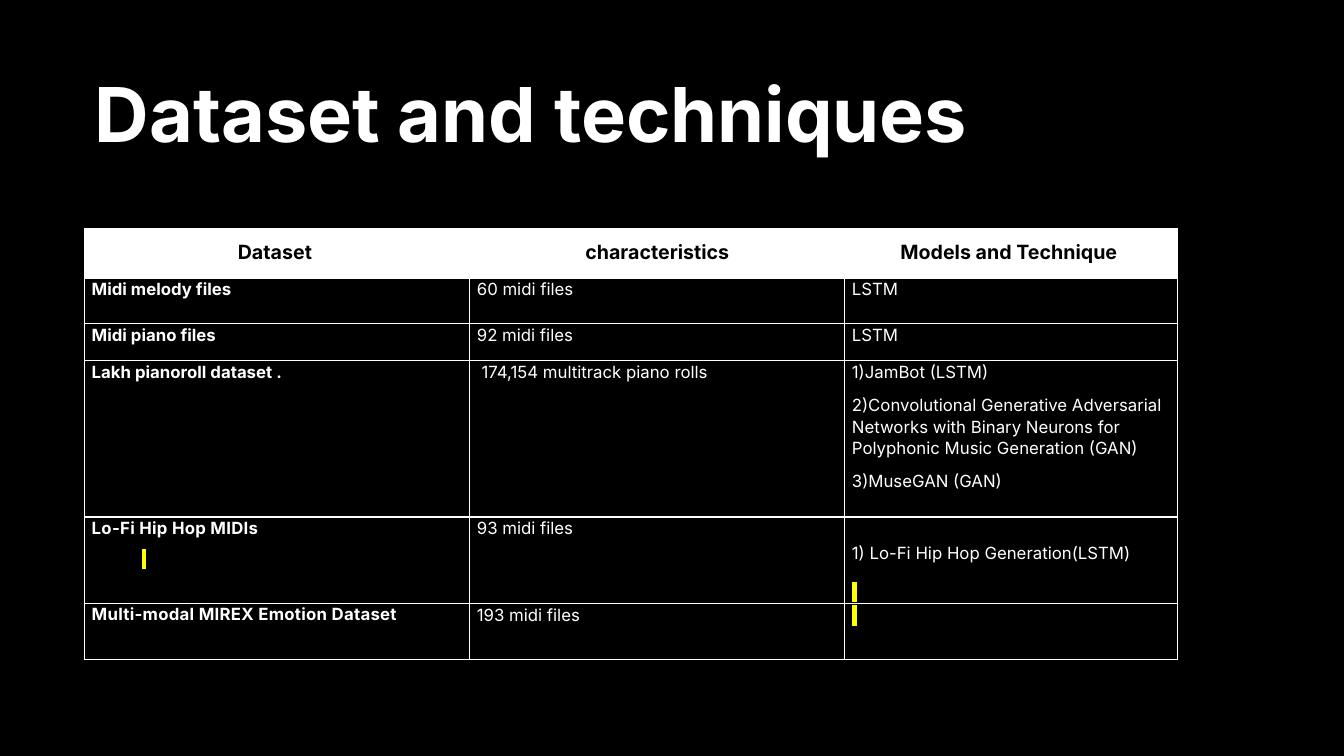
"""Build the slide listing music datasets and the techniques used on them."""
from dataclasses import dataclass

from lxml import etree
from pptx import Presentation
from pptx.dml.color import RGBColor
from pptx.enum.text import MSO_ANCHOR, MSO_AUTO_SIZE, PP_ALIGN
from pptx.oxml.ns import qn
from pptx.table import _Cell
from pptx.text.text import _Paragraph
from pptx.util import Emu, Length, Pt

LEFT = PP_ALIGN.LEFT
CENTER = PP_ALIGN.CENTER
MIDDLE = MSO_ANCHOR.MIDDLE
NO_AUTOFIT = MSO_AUTO_SIZE.NONE
TITLE_ONLY = 5
EMU_PER_PX = 9144
NBSP = " "


@dataclass(frozen=True)
class Theme:
    font: str = "Inter"
    background: str = "000000"
    ink: str = "FFFFFF"
    header_ink: str = "000000"
    marker: str = "FFFF00"
    title_pt: int = 54
    header_pt: int = 14
    body_pt: int = 12
    border_pt: int = 1


@dataclass(frozen=True)
class Line:
    text: str
    bold: bool = False
    spacing: float | Length = 1.07
    after: int = 8
    tracking: int = 0
    indent: int = 0
    marked: bool = False


THEME = Theme()
COLUMN_WIDTHS = (382, 372, 330)
ROW_HEIGHTS = (49, 45, 37, 155, 86, 55)
HEADINGS = ("Dataset ", "characteristics", "Models and Technique ")
MARKER = Line(NBSP, marked=True)
DATASETS = (
    ([Line("Midi melody files", bold=True)], [Line("60 midi files")], [Line("LSTM")]),
    ([Line("Midi piano files", bold=True)], [Line("92 midi files")], [Line("LSTM")]),
    (
        [Line("Lakh pianoroll dataset .", bold=True)],
        [Line(" 174,154 multitrack piano rolls ")],
        [
            Line("1)JamBot (LSTM)"),
            Line("2)Convolutional Generative Adversarial Networks with Binary "
                 "Neurons for Polyphonic Music Generation (GAN)"),
            Line("3)MuseGAN (GAN)"),
        ],
    ),
    (
        [
            Line("Lo-Fi Hip Hop MIDIs", bold=True, after=6, tracking=20),
            Line(NBSP, bold=True, indent=50, marked=True),
        ],
        [Line("93 midi files")],
        [Line("1) Lo-Fi Hip Hop Generation(LSTM)", spacing=Pt(33), after=12), MARKER],
    ),
    (
        [Line("Multi-modal MIREX Emotion Dataset", bold=True, spacing=1.0, after=6,
              tracking=20)],
        [Line("193 midi files")],
        [MARKER],
    ),
)


def px(length: int) -> Emu:
    """Convert slide pixels to EMU."""
    return Emu(length * EMU_PER_PX)


def set_font(paragraph: _Paragraph, size: int, color: str, bold: bool) -> None:
    """Give a whole paragraph its typeface, size, colour and weight."""
    paragraph.font.name = THEME.font
    paragraph.font.size = Pt(size)
    paragraph.font.bold = bold
    paragraph.font.color.rgb = RGBColor.from_string(color)


def write_line(paragraph: _Paragraph, line: Line, size: int, color: str) -> None:
    """Write one line of a cell with its spacing and marking."""
    run = paragraph.add_run()
    run.text = line.text
    set_font(paragraph, size, color, line.bold)
    paragraph.line_spacing = line.spacing
    paragraph.space_after = Pt(line.after)
    if line.indent:
        paragraph._p.get_or_add_pPr().set("indent", str(px(line.indent)))
    properties = run._r.get_or_add_rPr()
    if line.tracking:
        properties.set("spc", str(line.tracking))
    if line.marked:
        highlight = etree.SubElement(properties, qn("a:highlight"))
        etree.SubElement(highlight, qn("a:srgbClr"), val=THEME.marker)


def add_borders(cell: _Cell) -> None:
    """Draw a thin line on all four sides of a cell."""
    properties = cell._tc.get_or_add_tcPr()
    for side in ("a:lnL", "a:lnR", "a:lnT", "a:lnB"):
        border = etree.SubElement(properties, qn(side), w=str(Pt(THEME.border_pt)))
        fill = etree.SubElement(border, qn("a:solidFill"))
        etree.SubElement(fill, qn("a:srgbClr"), val=THEME.ink)


def fill_cell(cell: _Cell, lines: list[Line], is_header: bool) -> None:
    """Format one table cell and write its lines."""
    add_borders(cell)
    cell.fill.solid()
    cell.fill.fore_color.rgb = RGBColor.from_string(
        THEME.ink if is_header else THEME.background)
    cell.margin_left = cell.margin_right = px(7)
    cell.margin_top = cell.margin_bottom = px(0)
    size = THEME.header_pt if is_header else THEME.body_pt
    color = THEME.header_ink if is_header else THEME.ink
    for index, line in enumerate(lines):
        frame = cell.text_frame
        paragraph = frame.add_paragraph() if index else frame.paragraphs[0]
        write_line(paragraph, line, size, color)
        paragraph.alignment = CENTER if is_header else LEFT


def main() -> None:
    """Create the presentation and save it."""
    deck = Presentation()
    deck.slide_width, deck.slide_height = px(1333), px(750)
    slide = deck.slides.add_slide(deck.slide_layouts[TITLE_ONLY])
    slide.background.fill.solid()
    slide.background.fill.fore_color.rgb = RGBColor.from_string(THEME.background)

    title = slide.shapes.title
    title.left, title.top, title.width, title.height = px(84), px(49), px(1042), px(136)
    title.text_frame.text = "Dataset and techniques"
    title.text_frame.auto_size = NO_AUTOFIT
    title.text_frame.vertical_anchor = MIDDLE
    heading = title.text_frame.paragraphs[0]
    heading.alignment = LEFT
    heading.line_spacing = 0.9
    set_font(heading, THEME.title_pt, THEME.ink, True)

    rows = [[[Line(text, bold=True, spacing=1.5)] for text in HEADINGS], *DATASETS]
    datasets = slide.shapes.add_table(
        len(ROW_HEIGHTS), len(COLUMN_WIDTHS), px(84), px(227),
        px(sum(COLUMN_WIDTHS)), px(sum(ROW_HEIGHTS))).table
    datasets.first_row = datasets.horz_banding = False
    for column, width in zip(datasets.columns, COLUMN_WIDTHS):
        column.width = px(width)
    for row, height in zip(datasets.rows, ROW_HEIGHTS):
        row.height = px(height)
    for row_index, row_lines in enumerate(rows):
        for column_index, lines in enumerate(row_lines):
            fill_cell(datasets.cell(row_index, column_index), lines, row_index == 0)

    deck.save("out.pptx")


if __name__ == "__main__":
    main()
